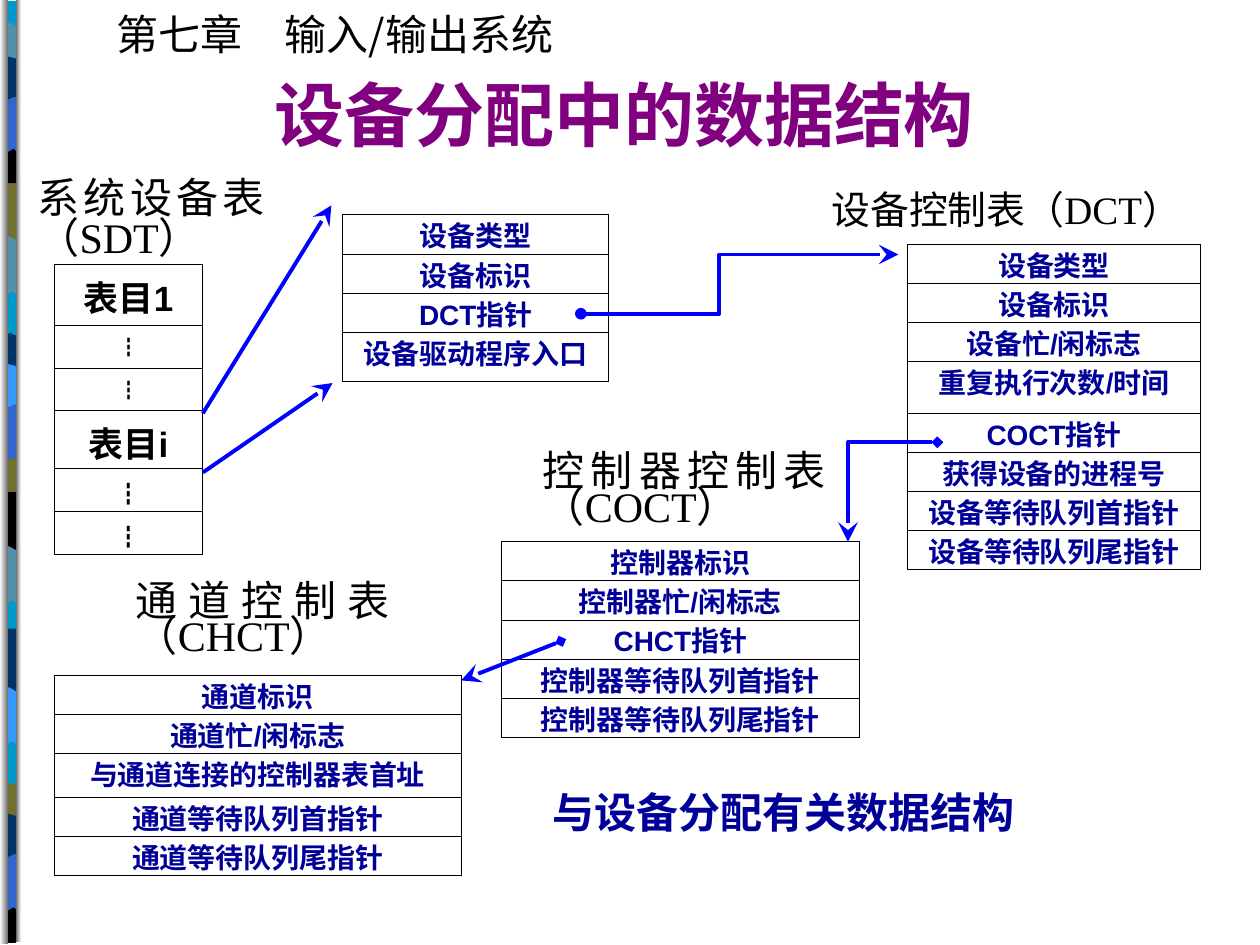
"""Build the slide on the data structures used in device allocation."""
from dataclasses import dataclass
from typing import NamedTuple

from lxml.etree import SubElement
from pptx import Presentation
from pptx.dml.color import RGBColor
from pptx.enum.shapes import MSO_CONNECTOR, MSO_SHAPE
from pptx.enum.text import MSO_AUTO_SIZE, PP_ALIGN
from pptx.oxml import parse_xml
from pptx.oxml.ns import nsdecls, qn
from pptx.util import Inches, Pt

COLORS = {
    "cyan": "0099CC", "teal": "5490A8", "olive": "72702E", "black": "000000",
    "royal": "3366CC", "navy": "003366", "sky": "3399FF", "white": "FFFFFF",
    "gray": "767676", "ink": "000099", "arrow": "0000FF", "purple": "800080",
}
CJK, LATIN, SERIF, TITLE = "Noto Sans CJK SC", "Arial", "Times New Roman", "Karla"
BAND_LEFT, BAND_WIDTH = 0.02, 0.14

MOTIFS = {
    "dip": [[(0.14, 0)], [(0.14, 0.47)], [(0.05, 0.38), (0.03, 0.54), (0, 0.47)], [(0, 0)]],
    "wave": [[(0.14, 0)], [(0.14, 0.47)], [(0.12, 0.55), (0.05, 0.42), (0, 0.47)], [(0, 0)]],
    "lens": [[(0.14, 0.05)], [(0.14, 0.29)], [(0.12, 0.33), (0.03, 0.33), (0, 0.29)],
             [(0, 0.05)], [(0.06, 0.01)], [(0.14, 0.05)]],
    "cup": [[(0.14, 0)], [(0.14, 0.33)], [(0.12, 0.38), (0.03, 0.38), (0, 0.33)],
            [(0, 0)], [(0.09, 0.05), (0.11, 0), (0.14, 0)]],
    "arch": [[(0.14, 0)], [(0.14, 0.47)], [(0.09, 0.42)], [(0, 0.47)], [(0, 0)]],
    "tile": [[(0.14, 0.05)], [(0.14, 0.35)], [(0.09, 0.35)],
             [(0.07, 0.35), (0.02, 0.41), (0, 0.35)], [(0, 0.05)],
             [(0.02, 0), (0.1, 0.05), (0.12, 0.05)]],
}
RAILS = [
    ([(0.06, 0), (0.06, 7.49), (0, 7.49), (0, 0)], ("white", "gray")),
    ([(0.13, 0), (0.13, 7.48), (0.17, 7.48), (0.17, 0)], ("gray", "white")),
]


class Patch(NamedTuple):
    motif: str
    top: float
    color: str


class Row(NamedTuple):
    text: str
    height: float = 0.31
    size: float = 16
    font: str = LATIN


@dataclass
class Grid:
    left: float
    top: float
    width: float
    rows: list[Row]
    color: str = "ink"
    spacing: float = 0.8


@dataclass
class Label:
    text: str
    box: tuple[float, float, float, float]
    size: float = 24
    font: str = SERIF
    color: str = "black"
    bold: bool = False
    align: PP_ALIGN = PP_ALIGN.JUSTIFY
    spacing: float = 1.0
    inset: float = 0.1
    wrap: bool = True
    grow: bool = False


class Arrow(NamedTuple):
    points: list[tuple[float, float]]
    head: str = "none"


PATCHES = [
    Patch("dip", 1.87, "teal"), Patch("wave", 1.41, "olive"), Patch("lens", 0.17, "teal"),
    Patch("cup", 1.09, "black"), Patch("arch", 0.76, "royal"), Patch("tile", 0.42, "navy"),
    Patch("dip", 4.32, "teal"), Patch("wave", 3.87, "black"), Patch("lens", 2.63, "navy"),
    Patch("cup", 3.54, "olive"), Patch("arch", 3.21, "royal"), Patch("tile", 2.86, "sky"),
    Patch("dip", 5.44, "sky"), Patch("wave", 4.99, "navy"), Patch("lens", 6.2, "olive"),
    Patch("cup", 7.12, "black"), Patch("arch", 6.78, "royal"), Patch("tile", 6.43, "navy"),
]
GAP, LARGE_GAP = Row("┇", 0.34, 12, CJK), Row("┇", 0.34, 14, CJK)
GRIDS = [
    Grid(0.43, 2.1, 1.18, [Row("表目1", 0.48, 20), GAP, GAP, Row("表目i", 0.46, 20),
                           LARGE_GAP, LARGE_GAP], "black", 1.0),
    Grid(2.72, 1.7, 2.11, [Row("设备类型", 0.32), Row("设备标识"), Row("DCT指针"),
                           Row("设备驱动程序入口", 0.39)]),
    Grid(7.2, 1.94, 2.33, [Row("设备类型"), Row("设备标识"), Row("设备忙/闲标志"),
                           Row("重复执行次数/时间", 0.41), Row("COCT指针"), Row("获得设备的进程号"),
                           Row("设备等待队列首指针"), Row("设备等待队列尾指针")]),
    Grid(0.43, 5.36, 3.23, [Row("通道标识"), Row("通道忙/闲标志"), Row("与通道连接的控制器表首址", 0.35),
                            Row("通道等待队列首指针"), Row("通道等待队列尾指针")]),
    Grid(3.98, 4.3, 2.84, [Row("控制器标识"), Row("控制器忙/闲标志"), Row("CHCT指针"),
                           Row("控制器等待队列首指针"), Row("控制器等待队列尾指针")]),
]
LABELS = [
    Label("第七章　输入/输出系统", (0.83, 0.02, 3.89, 0.5), font=CJK,
          align=PP_ALIGN.LEFT, wrap=False, grow=True),
    Label("系统设备表（SDT）", (0.2, 1.39, 2, 0.87), spacing=0.8),
    Label("设备控制表（DCT）", (6.5, 1.47, 3.23, 0.87), 22.2, spacing=0.9),
    Label("通道控制表（CHCT）", (0.98, 4.62, 2.21, 0.71), spacing=0.7),
    Label("控制器控制表（COCT）", (4.21, 3.59, 2.44, 0.71), spacing=0.7),
    Label("与设备分配有关数据结构", (4.29, 6.19, 4.96, 0.55), font=CJK, color="ink", bold=True),
    Label("设备分配中的数据结构", (1.46, 0.52, 7.87, 0.77), 40, TITLE, "purple", True,
          PP_ALIGN.LEFT, inset=0.72, grow=True),
]
ARROWS = [
    Arrow([(1.61, 3.28), (2.63, 1.63)]),
    Arrow([(1.61, 3.75), (2.64, 3.04)]),
    Arrow([(4.61, 2.49), (5.71, 2.49), (5.71, 2.02), (7.13, 2.02)], "oval"),
    Arrow([(4.45, 5.09), (3.66, 5.4)], "diamond"),
    Arrow([(7.44, 3.51), (6.73, 3.51), (6.73, 4.3)], "diamond"),
]


def rgb(name: str) -> RGBColor:
    return RGBColor.from_string(COLORS[name])


def flatten(segments: list, steps: int = 3) -> list[tuple[float, float]]:
    """Turn line and Bézier segments into a list of points."""
    pts = []
    for seg in segments:
        if len(seg) == 1:
            pts += seg
            continue
        ctrl = [pts[-1], *seg]
        for t in (i / steps for i in range(1, steps + 1)):
            w = ((1 - t) ** 3, 3 * t * (1 - t) ** 2, 3 * t * t * (1 - t), t ** 3)
            pts.append(tuple(sum(k * c[axis] for k, c in zip(w, ctrl)) for axis in (0, 1)))
    return pts


def add_path(s, points: list, left: float = 0, top: float = 0, close: bool = True):
    pts = [(Inches(left + x), Inches(top + y)) for x, y in points]
    fb = s.shapes.build_freeform(*pts[0])
    fb.add_line_segments(pts[1:], close=close)
    sp = fb.convert_to_shape()
    sp.shadow.inherit = False
    return sp


def add_band(s) -> None:
    base = s.shapes.add_shape(MSO_SHAPE.RECTANGLE, Inches(BAND_LEFT), Inches(0.01),
                              Inches(BAND_WIDTH), Inches(7.46))
    base.shadow.inherit = False
    pieces = [(base, "cyan")]
    pieces += [(add_path(s, flatten(MOTIFS[m]), BAND_LEFT, top), c) for m, top, c in PATCHES]
    for sp, color in pieces:
        sp.fill.solid()
        sp.fill.fore_color.rgb = rgb(color)
        sp.line.fill.background()
    for points, colors in RAILS:
        sp = add_path(s, points)
        sp.fill.gradient()
        sp.fill.gradient_angle = 0
        for stop, color in zip(sp.fill.gradient_stops, colors):
            stop.color.rgb = rgb(color)
        sp.line.fill.background()


def style(p, size: float, font: str, color: str, bold: bool, align: PP_ALIGN, spacing: float) -> None:
    p.alignment, p.line_spacing = align, spacing
    p.font.size, p.font.name, p.font.bold = Pt(size), font, bold
    p.font.color.rgb = rgb(color)


def add_grid(s, g: Grid) -> None:
    height = sum(row.height for row in g.rows)
    tbl = s.shapes.add_table(len(g.rows), 1, Inches(g.left), Inches(g.top),
                             Inches(g.width), Inches(height)).table
    tbl.first_row = tbl.horz_banding = False
    for i, row in enumerate(g.rows):
        tbl.rows[i].height = Inches(row.height)
        cell = tbl.cell(i, 0)
        cell.text = row.text
        cell.margin_bottom = 0
        style(cell.text_frame.paragraphs[0], row.size, row.font, g.color, True,
              PP_ALIGN.CENTER, g.spacing)
        cell.fill.background()
        tcPr = cell._tc.get_or_add_tcPr()
        for k, side in enumerate("LRTB"):
            tcPr.insert(k, parse_xml(
                f'<a:ln{side} {nsdecls("a")} w="{Pt(0.45)}"><a:solidFill>'
                f'<a:srgbClr val="{COLORS["black"]}"/></a:solidFill></a:ln{side}>'))


def add_label(s, lb: Label) -> None:
    tf = s.shapes.add_textbox(*map(Inches, lb.box)).text_frame
    tf.word_wrap = lb.wrap
    tf.auto_size = MSO_AUTO_SIZE.SHAPE_TO_FIT_TEXT if lb.grow else MSO_AUTO_SIZE.NONE
    tf.margin_left = Inches(lb.inset)
    tf.text = lb.text
    style(tf.paragraphs[0], lb.size, lb.font, lb.color, lb.bold, lb.align, lb.spacing)


def add_arrow(s, a: Arrow) -> None:
    if len(a.points) == 2:
        ends = [Inches(v) for pt in a.points for v in pt]
        sp = s.shapes.add_connector(MSO_CONNECTOR.STRAIGHT, *ends)
    else:
        sp = add_path(s, a.points, close=False)
        sp.fill.background()
    sp.line.color.rgb, sp.line.width = rgb("arrow"), Pt(2.25)
    spPr = sp._element.spPr
    ln = spPr.find(qn("a:ln"))
    SubElement(ln, qn("a:headEnd"), type=a.head)
    SubElement(ln, qn("a:tailEnd"), type="stealth", w="lg", len="lg")
    if spPr.find(qn("a:effectLst")) is None:
        SubElement(spPr, qn("a:effectLst"))


def main() -> None:
    prs = Presentation()
    prs.slide_width, prs.slide_height = Inches(10), Inches(7.5)
    s = prs.slides.add_slide(prs.slide_layouts[6])
    add_band(s)
    for draw, items in ((add_grid, GRIDS), (add_label, LABELS), (add_arrow, ARROWS)):
        for item in items:
            draw(s, item)
    prs.save("out.pptx")


if __name__ == "__main__":
    main()
